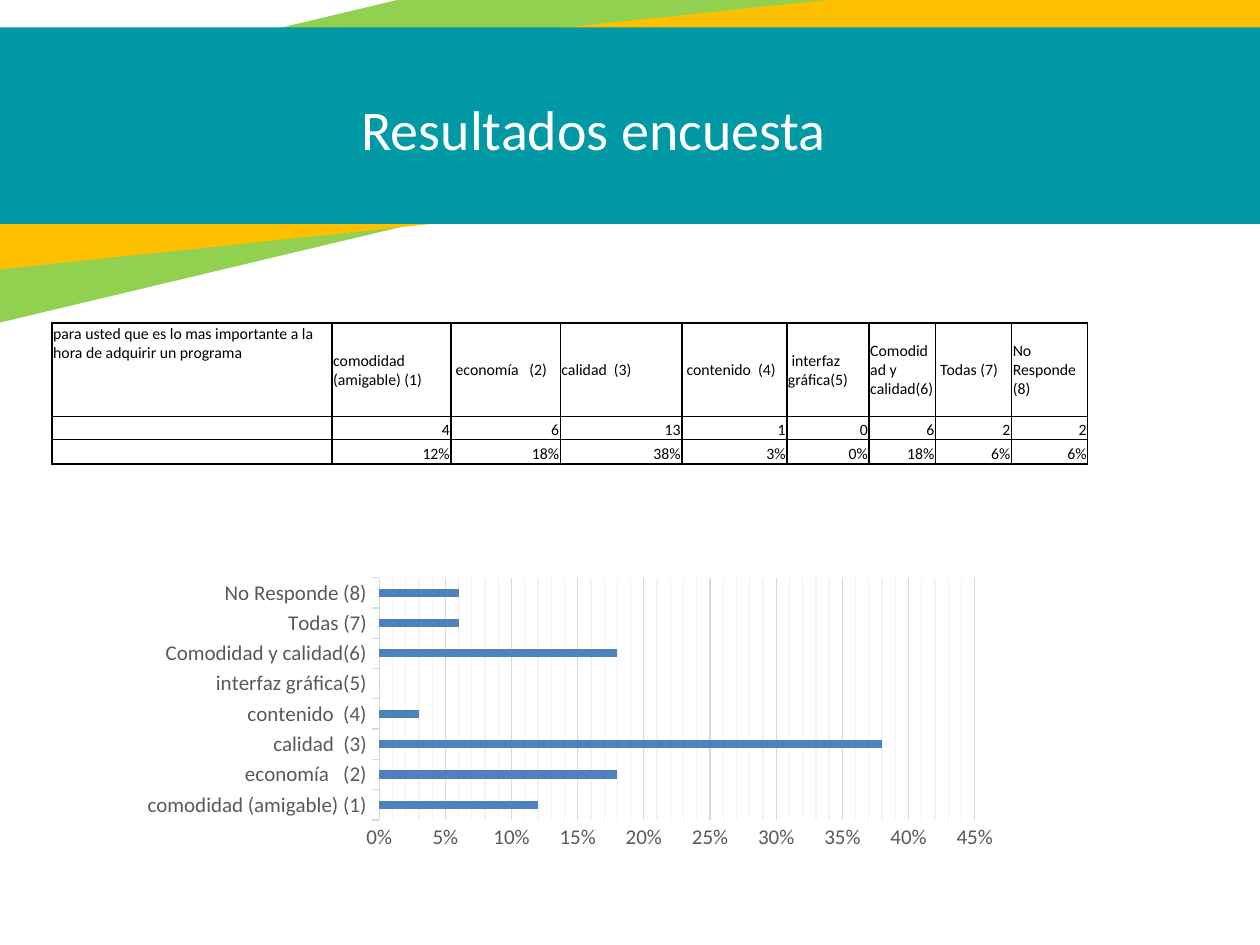
from dataclasses import dataclass

import pptx
import pptx.chart.data
import pptx.dml.color
import pptx.enum.chart
import pptx.enum.shapes
import pptx.enum.text
import pptx.oxml
import pptx.oxml.ns
import pptx.util
from pptx.util import Pt


@dataclass(frozen=True)
class Theme:
    """Colours, font and type sizes of the slide."""
    font: str = "Calibri"
    green: str = "92D050"
    amber: str = "FFC000"
    teal: str = "0099A5"
    white: str = "FFFFFF"
    ink: str = "000000"
    label: str = "595959"
    grid: str = "D9D9D9"
    minor: str = "F2F2F2"
    bar: str = "4F81BD"
    title_size: int = 32
    cell_size: int = 9
    axis_size: int = 12


THEME = Theme()
OPTIONS = ["comodidad (amigable) (1)", " economía   (2)", "calidad  (3)",
           " contenido  (4)", " interfaz gráfica(5)", "Comodidad y calidad(6)",
           " Todas (7)", "No Responde (8)"]
COUNTS = [4, 6, 13, 1, 0, 6, 2, 2]
SHARES = [0.12, 0.18, 0.38, 0.03, 0, 0.18, 0.06, 0.06]
QUESTION = "para usted que es lo mas importante a la hora de adquirir un programa"


def rgb(value):
    """Turn a hex string into a colour."""
    return pptx.dml.color.RGBColor.from_string(value)


def style_font(font, size, color):
    """Set the theme font with a size and a colour."""
    font.name = THEME.font
    font.size = Pt(size)
    font.color.rgb = rgb(color)


def add_band(s, box, color, rotation=0):
    """Draw one plain band, turned about its centre."""
    sp = s.shapes.add_shape(pptx.enum.shapes.MSO_SHAPE.RECTANGLE, *map(Pt, box))
    sp.shadow.inherit = False
    sp.fill.solid()
    sp.fill.fore_color.rgb = rgb(color)
    sp.line.fill.background()
    sp.rotation = rotation


def add_header(s, box):
    """Place the teal band with the two slanted bands behind it."""
    x, y, w, h = box
    add_band(s, (x - 104.4, y - 28.8, w + 103, h + 14.4), THEME.green, 346.6)
    add_band(s, (x - 2.9, y - 1.4, w, h - 8.6), THEME.amber, 354)
    add_band(s, box, THEME.teal)


def add_title(s, box, text):
    """Move the title placeholder to the front and fill it."""
    sp = s.shapes.title
    s.shapes._spTree.append(sp._element)
    sp.left, sp.top, sp.width, sp.height = map(Pt, box)
    tf = sp.text_frame
    tf.word_wrap = False
    tf.auto_size = pptx.enum.text.MSO_AUTO_SIZE.SHAPE_TO_FIT_TEXT
    tf.vertical_anchor = pptx.enum.text.MSO_ANCHOR.TOP
    p = tf.paragraphs[0]
    p.alignment = pptx.enum.text.PP_ALIGN.LEFT
    r = p.add_run()
    r.text = text
    style_font(r.font, THEME.title_size, THEME.white)


def add_borders(cell, widths):
    """Give a cell its left, right, top and bottom lines."""
    tc_pr = cell._tc.get_or_add_tcPr()
    for side, width in zip("LRTB", widths):
        tc_pr.append(pptx.oxml.parse_xml(
            f'<a:ln{side} {pptx.oxml.ns.nsdecls("a")} w="{int(Pt(width))}">'
            f'<a:solidFill><a:srgbClr val="{THEME.ink}"/></a:solidFill></a:ln{side}>'))


def fill_cell(cell, text, anchor, align):
    """Write one table cell."""
    cell.fill.background()
    cell.margin_left = cell.margin_right = cell.margin_top = Pt(0.7)
    cell.margin_bottom = 0
    cell.vertical_anchor = anchor
    p = cell.text_frame.paragraphs[0]
    p.alignment = align
    if text:
        r = p.add_run()
        r.text = text
        style_font(r.font, THEME.cell_size, THEME.ink)
    else:
        p._p.get_or_add_endParaRPr().set("sz", str(THEME.cell_size * 100))


def add_results_table(s, box, col_widths, row_heights):
    """Place the table of answers, counts and shares."""
    anchors, aligns = pptx.enum.text.MSO_ANCHOR, pptx.enum.text.PP_ALIGN
    rows = [[QUESTION] + OPTIONS,
            [""] + [str(n) for n in COUNTS],
            [""] + [f"{v:.0%}" for v in SHARES]]
    last_row = len(rows) - 1
    table = s.shapes.add_table(len(rows), len(col_widths), *map(Pt, box)).table
    table.first_row = table.horz_banding = False
    for column, width in zip(table.columns, col_widths):
        column.width = Pt(width)
    for row, height in zip(table.rows, row_heights):
        row.height = Pt(height)
    for i, values in enumerate(rows):
        for j, text in enumerate(values):
            cell = table.cell(i, j)
            add_borders(cell, (1, 1, 1 if i == 0 else 0.5,
                               1 if i == last_row else 0.5))
            if i:
                fill_cell(cell, text, anchors.BOTTOM, aligns.RIGHT)
            else:
                anchor = anchors.MIDDLE if j else anchors.TOP
                fill_cell(cell, text, anchor, aligns.LEFT)


def style_line(line, color):
    """Set a thin chart line."""
    line.color.rgb = rgb(color)
    line.width = Pt(0.75)


def add_minor_gridlines(axis, color):
    """Show thin minor gridlines on an axis."""
    axis.has_minor_gridlines = True
    grid = axis._element.find(pptx.oxml.ns.qn("c:minorGridlines"))
    grid.append(pptx.oxml.parse_xml(
        f'<c:spPr {pptx.oxml.ns.nsdecls("c", "a")}><a:ln w="{int(Pt(0.75))}">'
        f'<a:solidFill><a:srgbClr val="{color}"/></a:solidFill></a:ln></c:spPr>'))


def add_results_chart(s, box):
    """Place the bar chart of shares."""
    data = pptx.chart.data.CategoryChartData(number_format="0%")
    data.categories = OPTIONS
    data.add_series("Series 1", SHARES)
    chart = s.shapes.add_chart(pptx.enum.chart.XL_CHART_TYPE.BAR_CLUSTERED,
                               *map(Pt, box), data).chart
    chart.has_legend = chart.has_title = False
    style_font(chart.font, THEME.axis_size, THEME.label)
    plot = chart.plots[0]
    plot.vary_by_categories = False
    plot.gap_width = 269
    fill = plot.series[0].format.fill
    fill.solid()
    fill.fore_color.rgb = rgb(THEME.bar)

    marks = pptx.enum.chart.XL_TICK_MARK
    cat, val = chart.category_axis, chart.value_axis
    for axis in (cat, val):
        style_font(axis.tick_labels.font, THEME.axis_size, THEME.label)
        axis.minor_tick_mark = marks.NONE
    cat.major_tick_mark = marks.OUTSIDE
    cat.has_major_gridlines = False
    style_line(cat.format.line, THEME.grid)
    val.major_tick_mark = marks.NONE
    val.format.line.fill.background()
    val.minimum_scale, val.maximum_scale = 0, 0.45
    val.major_unit, val.minor_unit = 0.05, 0.01
    val.has_major_gridlines = True
    style_line(val.major_gridlines.format.line, THEME.grid)
    add_minor_gridlines(val, THEME.minor)
    val.tick_labels.number_format = "0%"
    val.tick_labels.number_format_is_linked = False


def main():
    """Build the survey results slide."""
    prs = pptx.Presentation()
    prs.slide_width, prs.slide_height = Pt(720), Pt(540)
    s = prs.slides.add_slide(prs.slide_layouts[5])
    add_header(s, (-76.3, 15.7, 837.4, 112.3))
    add_results_table(s, (29.7, 184.5, 592.5, 80.6),
                      (160, 68, 62.5, 69.5, 60, 47, 38, 43.5, 43.5),
                      (53.5, 13.3, 13.8))
    add_results_chart(s, (74.2, 326.9, 503.3, 162))
    add_title(s, (199.4, 50.4, 283, 46), "Resultados encuesta")
    prs.save("out.pptx")


if __name__ == "__main__":
    main()
